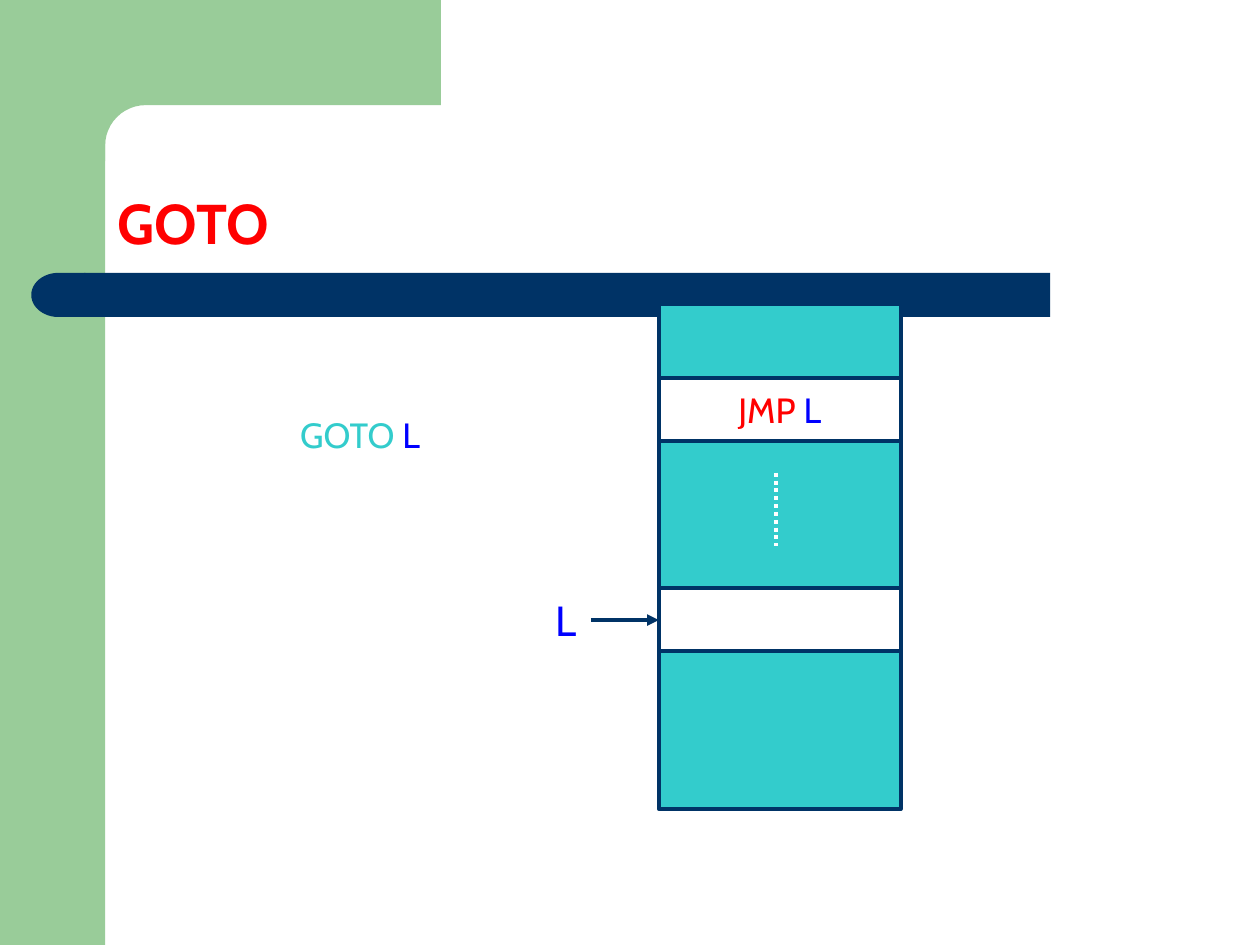
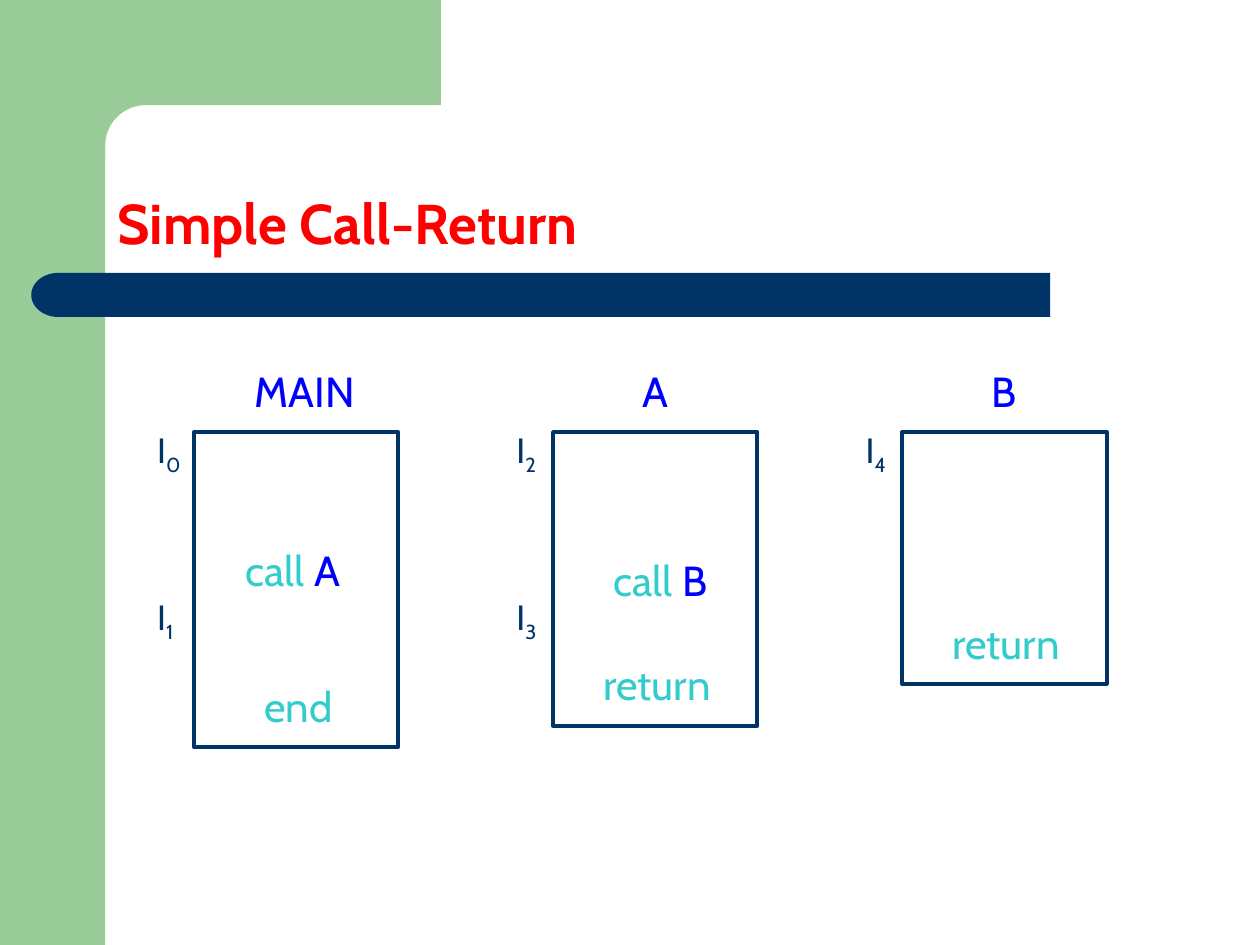
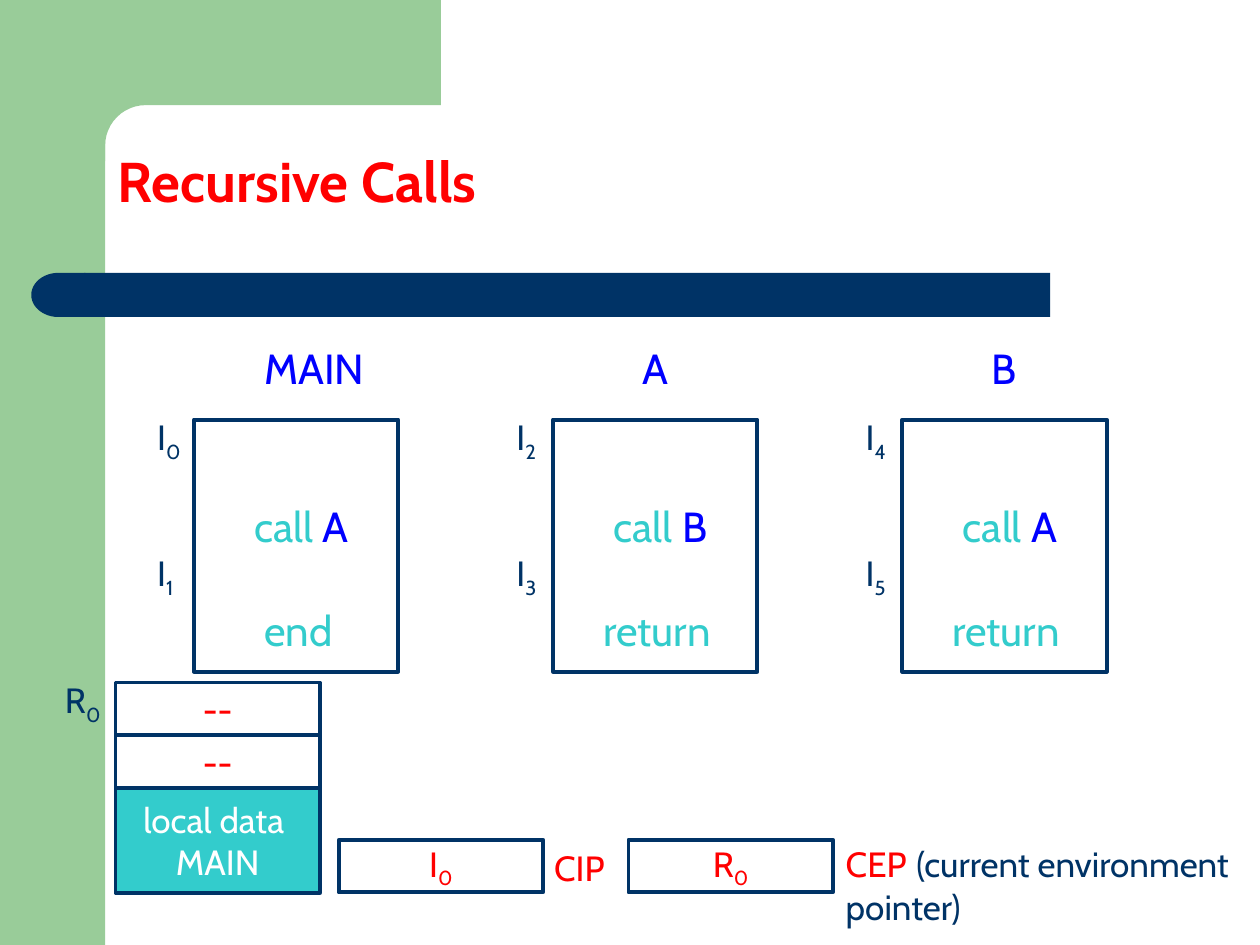
from dataclasses import dataclass
from math import cos, pi, sin
from typing import NamedTuple, Optional

from lxml import etree
from pptx import Presentation
from pptx import util as u
from pptx.dml.color import RGBColor
from pptx.enum import dml, shapes, text
from pptx.oxml import ns

COLORS = {
    "band": "99CC99",
    "navy": "003366",
    "teal": "33CCCC",
    "red": "FF0000",
    "blue": "0000FF",
    "white": "FFFFFF",
}
FONT = "Cabin"
LINE_WIDTH = u.Pt(2.25)
BOX_WIDTH = 4.12
SMALL, LARGE, TITLE = 20, 24, 32


# Records: all lengths in centimetres
class Span(NamedTuple):
    text: str
    color: str
    size: Optional[int] = None
    subscript: bool = False


class Label(NamedTuple):
    left: float
    top: float
    width: float
    spans: list[Span]
    size: int = LARGE


class Cell(NamedTuple):
    left: float
    top: float
    width: float
    height: float
    fill: Optional[str] = None
    lines: tuple[list[Span], ...] = ()


@dataclass
class Procedure:
    name: str
    left: float
    height: float
    first_index: int
    closing: str
    closing_top: float
    name_offset: float = 1.55
    callee: str = ""
    call_top: float = 9.96
    call_offset: float = 0.97


def rgb(name: str) -> RGBColor:
    return RGBColor.from_string(COLORS[name])


def indexed(letter: str, index: int, color: str) -> list[Span]:
    return [Span(letter, color), Span(str(index), color, subscript=True)]


# Text
def write_paragraph(para, spans: list[Span], size: int) -> None:
    para.font.name = FONT
    para.font.size = u.Pt(size)
    shared_color = len({span.color for span in spans}) == 1
    if shared_color:
        para.font.color.rgb = rgb(spans[0].color)
    for span in spans:
        run = para.add_run()
        run.text = span.text
        if not shared_color:
            run.font.color.rgb = rgb(span.color)
        if span.size:
            run.font.size = u.Pt(span.size)
        if span.subscript:
            run._r.get_or_add_rPr().set("baseline", "-25000")


def add_label(page, label: Label) -> None:
    height = 1.27 if label.size == LARGE else 1.09
    box = page.shapes.add_textbox(
        u.Cm(label.left), u.Cm(label.top), u.Cm(label.width), u.Cm(height)
    )
    frame = box.text_frame
    frame.word_wrap = True
    frame.auto_size = text.MSO_AUTO_SIZE.SHAPE_TO_FIT_TEXT
    write_paragraph(frame.paragraphs[0], label.spans, label.size)


def add_title(page, title: str, top: float) -> None:
    box = page.shapes.add_textbox(u.Cm(2.12), u.Cm(top), u.Cm(22.01), u.Cm(3.18))
    frame = box.text_frame
    frame.word_wrap = True
    frame.vertical_anchor = text.MSO_ANCHOR.BOTTOM
    para = frame.paragraphs[0]
    para.line_spacing = 0.9
    para.font.bold = True
    write_paragraph(para, [Span(title, "red")], TITLE)


# Shapes
def paint(shape, fill: str) -> None:
    shape.shadow.inherit = False
    shape.fill.solid()
    shape.fill.fore_color.rgb = rgb(fill)
    shape.line.fill.background()


def add_block(page, kind, left: float, top: float, width: float, height: float, fill: str):
    block = page.shapes.add_shape(kind, u.Cm(left), u.Cm(top), u.Cm(width), u.Cm(height))
    paint(block, fill)
    return block


def add_cell(page, cell: Cell) -> None:
    box = add_block(page, shapes.MSO_SHAPE.RECTANGLE, cell.left, cell.top,
                    cell.width, cell.height, cell.fill or "white")
    if cell.fill is None:
        box.fill.background()
    box.line.color.rgb = rgb("navy")
    box.line.width = LINE_WIDTH
    frame = box.text_frame
    frame.word_wrap = False
    frame.vertical_anchor = text.MSO_ANCHOR.MIDDLE
    for number, spans in enumerate(cell.lines):
        para = frame.add_paragraph() if number else frame.paragraphs[0]
        para.alignment = text.PP_ALIGN.CENTER
        write_paragraph(para, spans, SMALL)


def add_line(page, start: tuple[float, float], end: tuple[float, float], color: str):
    line = page.shapes.add_connector(
        shapes.MSO_CONNECTOR.STRAIGHT, *(u.Cm(value) for value in start + end)
    )
    line.line.color.rgb = rgb(color)
    line.line.width = LINE_WIDTH
    etree.SubElement(line._element.spPr, ns.qn("a:effectLst"))
    return line


# Shared frame: green band with a rounded inner corner, navy bar
def add_page(deck, title: str, title_top: float = 2.12):
    page = deck.slides.add_slide(deck.slide_layouts[6])
    edge, radius, steps = 2.12, 0.82, 12
    add_block(page, shapes.MSO_SHAPE.RECTANGLE, 0, 0, edge, 19.05, "band")
    center = edge + radius
    corner = [
        (center - radius * sin(pi / 2 * step / steps),
         center - radius * cos(pi / 2 * step / steps))
        for step in range(steps + 1)
    ]
    outline = [(8.89, 0), (8.89, edge), *corner, (edge, 3.25), (1.27, 3.25), (1.27, 0)]
    points = [(u.Cm(x), u.Cm(y)) for x, y in outline]
    builder = page.shapes.build_freeform(*points[0])
    builder.add_line_segments(points[1:], close=True)
    paint(builder.convert_to_shape(), "band")
    add_block(page, shapes.MSO_SHAPE.RECTANGLE, 1.7, 5.5, 19.47, 0.89, "navy")
    cap = add_block(page, shapes.MSO_SHAPE.FLOWCHART_DELAY, 0.63, 5.5, 1.09, 0.89, "navy")
    cap.rotation = 180
    add_title(page, title, title_top)
    return page


def add_procedure(page, item: Procedure, top: float, name_top: float, return_top: float) -> None:
    add_cell(page, Cell(item.left, top, BOX_WIDTH, item.height))
    add_label(page, Label(item.left + item.name_offset, name_top, 3.15,
                          [Span(item.name, "blue")]))
    index_tops = [top - 0.2] + ([return_top] if item.callee else [])
    for step, index_top in enumerate(index_tops):
        add_label(page, Label(item.left - 0.99, index_top, 1.17,
                              indexed("I", item.first_index + step, "navy"), SMALL))
    if item.callee:
        add_label(page, Label(item.left + item.call_offset, item.call_top, 2.54,
                              [Span("call ", "teal"), Span(item.callee, "blue")]))
    closing_offset = 1.17 if item.closing == "end" else 0.76
    add_label(page, Label(item.left + closing_offset, item.closing_top, 3.3,
                          [Span(item.closing, "teal")]))


# Slides
def build_goto(deck) -> None:
    page = add_page(deck, "GOTO")
    add_label(page, Label(5.8, 8.21, 4, [Span("GOTO ", "teal"), Span("L", "blue")], SMALL))
    memory_left, top = 13.28, 6.14
    jump = ([Span("JMP", "red"), Span(" L", "blue")],)
    rows = [(1.48, "teal", ()), (1.27, None, jump), (2.97, "teal", ()),
            (1.27, None, ()), (3.18, "teal", ())]
    for height, fill, lines in rows:
        add_cell(page, Cell(memory_left, top, 4.88, height, fill, lines))
        top += height
    dots = add_line(page, (15.65, 9.53), (15.65, 11), "white")
    dots.line.dash_style = dml.MSO_LINE.ROUND_DOT
    add_label(page, Label(10.95, 11.86, 1.57, [Span("L", "blue")]))
    arrow = add_line(page, (11.91, 12.5), (memory_left, 12.5), "navy")
    etree.SubElement(arrow.line._get_or_add_ln(), ns.qn("a:tailEnd"), type="triangle")


def build_call_return(deck) -> None:
    page = add_page(deck, "Simple Call-Return")
    procedures = [
        Procedure("MAIN", 3.91, 6.35, 0, "end", 13.59, 0.97, "A", 10.85, 0.79),
        Procedure("A", 11.15, 5.92, 2, "return", 13.16, callee="B", call_top=11.05),
        Procedure("B", 18.19, 5.08, 4, "return", 12.32),
    ]
    for item in procedures:
        add_procedure(page, item, top=8.71, name_top=7.24, return_top=11.89)


def build_recursive(deck) -> None:
    page = add_page(deck, "Recursive Calls", 1.27)
    procedures = [
        Procedure("MAIN", 3.91, 5.08, 0, "end", 12.07, 1.17, "A"),
        Procedure("A", 11.15, 5.08, 2, "return", 12.07, callee="B"),
        Procedure("B", 18.19, 5.08, 4, "return", 12.07, callee="A"),
    ]
    for item in procedures:
        add_procedure(page, item, top=8.46, name_top=6.78, return_top=11)

    # Activation record and registers
    empty = ([Span("--", "red")],)
    local_data = ([Span("local data ", "white")], [Span("MAIN", "white")])
    cells = [
        Cell(2.33, 15.88, BOX_WIDTH, 2.12, "teal", local_data),
        Cell(2.33, 14.82, BOX_WIDTH, 1.06, None, empty),
        Cell(2.33, 13.76, BOX_WIDTH, 1.06, None, empty),
        Cell(6.83, 16.93, BOX_WIDTH, 1.06, None, (indexed("I", 0, "red"),)),
        Cell(12.67, 16.93, BOX_WIDTH, 1.06, None, (indexed("R", 0, "red"),)),
    ]
    for cell in cells:
        add_cell(page, cell)
    pointer = [Span("CEP", "red"), Span(" ", "red", LARGE),
               Span("(current environment pointer)", "navy")]
    labels = [
        Label(1.06, 13.55, 1.27, indexed("R", 0, "navy"), SMALL),
        Label(10.92, 16.93, 1.96, [Span("CIP", "red")], SMALL),
        Label(16.8, 16.72, 9.24, pointer, SMALL),
    ]
    for label in labels:
        add_label(page, label)


def main() -> None:
    deck = Presentation()
    deck.slide_width, deck.slide_height = u.Cm(25.4), u.Cm(19.05)
    build_goto(deck)
    build_call_return(deck)
    build_recursive(deck)
    deck.save("out.pptx")


if __name__ == "__main__":
    main()
